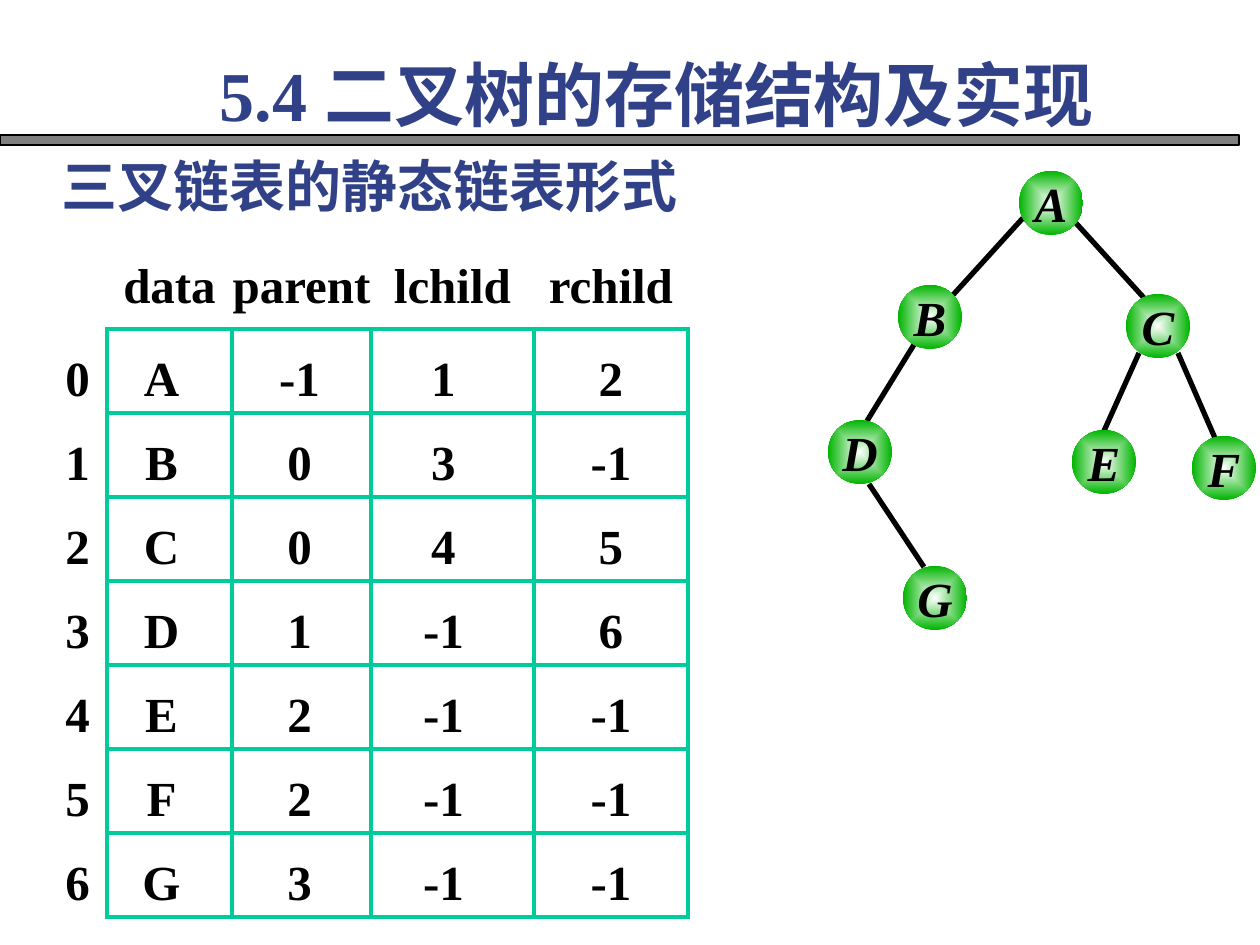
"""Build a slide on storing a binary tree as a static three-way linked list."""
from lxml import etree
from pptx import Presentation
from pptx import util as u
from pptx.dml.color import RGBColor
from pptx.enum import shapes, text
from pptx.oxml.ns import qn

TITLE = "5.4 二叉树的存储结构及实现"
SUBTITLE = "三叉链表的静态链表形式"
ROWS = [
    ("", "data", "parent", "lchild", "rchild"),
    ("0", "A", "-1", "1", "2"),
    ("1", "B", "0", "3", "-1"),
    ("2", "C", "0", "4", "5"),
    ("3", "D", "1", "-1", "6"),
    ("4", "E", "2", "-1", "-1"),
    ("5", "F", "2", "-1", "-1"),
    ("6", "G", "3", "-1", "-1"),
]
COLUMN_WIDTHS = (59, 125, 139, 163, 154)
VALUE_RIGHT_MARGINS = (0, 16, 4, 18, 0)
HEADER_HEIGHT, ROW_HEIGHT = 84, 84
TABLE_LEFT, TABLE_TOP = 48, 245
NODES = {
    "A": (1019, 171), "B": (898, 285), "C": (1126, 294), "D": (828, 420),
    "E": (1072, 430), "F": (1192, 436), "G": (903, 566),
}
NODE_SIZE = 64
EDGES = [
    (1023, 218, 953, 295), (1075, 222, 1145, 299), (915, 343, 867, 421),
    (869, 484, 924, 567), (1139, 353, 1104, 431), (1178, 353, 1215, 438),
]

FONT = "Times New Roman"
BLACK = RGBColor(0, 0, 0)
WHITE = RGBColor(255, 255, 255)
GREY = RGBColor(128, 128, 128)
NAVY = RGBColor(0x31, 0x41, 0x87)
GREEN = RGBColor(0, 0xB4, 0)
TEAL = RGBColor(0, 0xCC, 0x99)


def px(*values):
    lengths = [round(value * 914400 / 126) for value in values]
    return lengths[0] if len(lengths) == 1 else lengths


def write(frame, content, size=28, color=BLACK, italic=False,
          align=text.PP_ALIGN.CENTER):
    para = frame.paragraphs[0]
    para.alignment = align
    span = para.add_run()
    span.text = content
    font = span.font
    font.name, font.size, font.bold, font.italic = FONT, u.Pt(size), True, italic
    font.color.rgb = color


def set_borders(cell, row, column):
    inside = row > 0 and column > 0
    shown = {"lnL": inside, "lnR": row > 0, "lnT": inside, "lnB": column > 0}
    properties = cell._tc.get_or_add_tcPr()
    for position, (side, visible) in enumerate(shown.items()):
        line = etree.Element(qn(f"a:{side}"), w=str(u.Pt(2.25)))
        if visible:
            fill = etree.SubElement(line, qn("a:solidFill"))
            etree.SubElement(fill, qn("a:srgbClr"), val=str(TEAL))
        else:
            etree.SubElement(line, qn("a:noFill"))
        properties.insert(position, line)


def add_headings(page):
    subtitle = page.shapes.add_textbox(*px(49, 145, 694, 81))
    for box, content, size in ((page.shapes.title, TITLE, 40),
                               (subtitle, SUBTITLE, 32)):
        frame = box.text_frame
        frame.word_wrap = True
        frame.auto_size = text.MSO_AUTO_SIZE.NONE
        frame.vertical_anchor = text.MSO_ANCHOR.TOP
        write(frame, content, size=size, color=NAVY, align=text.PP_ALIGN.LEFT)
    title = page.shapes.title
    title.left, title.top, title.width, title.height = px(207, 45, 971, 97)

    bar = page.shapes.add_shape(shapes.MSO_SHAPE.RECTANGLE, *px(0, 135, 1239, 10))
    bar.shadow.inherit = False
    bar.fill.solid()
    bar.fill.fore_color.rgb = GREY
    bar.line.color.rgb = BLACK
    bar.line.width = u.Pt(0.75)


def add_list_table(page):
    height = HEADER_HEIGHT + ROW_HEIGHT * (len(ROWS) - 1)
    table = page.shapes.add_table(
        len(ROWS), len(COLUMN_WIDTHS),
        *px(TABLE_LEFT, TABLE_TOP, sum(COLUMN_WIDTHS), height)).table
    table.first_row = table.horz_banding = False
    for column, width in zip(table.columns, COLUMN_WIDTHS):
        column.width = px(width)
    for row, values in enumerate(ROWS):
        table.rows[row].height = px(ROW_HEIGHT if row else HEADER_HEIGHT)
        for column, value in enumerate(values):
            cell = table.cell(row, column)
            cell.margin_left = cell.margin_bottom = 0
            cell.margin_right = px(VALUE_RIGHT_MARGINS[column] if row else 0)
            cell.margin_top = px(18 if row else 0)
            cell.vertical_anchor = text.MSO_ANCHOR.MIDDLE
            cell.fill.background()
            set_borders(cell, row, column)
            write(cell.text_frame, value)


def add_tree(page):
    for edge in EDGES:
        line = page.shapes.add_connector(shapes.MSO_CONNECTOR.STRAIGHT, *px(*edge))
        line.line.color.rgb = BLACK
        line.line.width = u.Pt(3)
        etree.SubElement(line._element.spPr, qn("a:effectLst"))
    for name, corner in NODES.items():
        node = page.shapes.add_shape(
            shapes.MSO_SHAPE.OVAL, *px(*corner, NODE_SIZE, NODE_SIZE))
        node.shadow.inherit = False
        node.line.fill.background()
        node.fill.gradient()
        for stop, color, position in zip(node.fill.gradient_stops,
                                         (WHITE, GREEN), (0, 1)):
            stop.color.rgb = color
            stop.position = position
        gradient = node._element.spPr.find(qn("a:gradFill"))
        linear = gradient.find(qn("a:lin"))
        focus = etree.Element(qn("a:path"), {"path": "rect"})
        etree.SubElement(focus, qn("a:fillToRect"),
                         {side: "50000" for side in "ltrb"})
        gradient.replace(linear, focus)
        frame = node.text_frame
        frame.margin_left = frame.margin_right = 0
        frame.margin_top = frame.margin_bottom = 0
        frame.word_wrap = False
        frame.vertical_anchor = text.MSO_ANCHOR.MIDDLE
        write(frame, name, italic=True)


def main():
    deck = Presentation()
    deck.slide_width, deck.slide_height = px(1260, 945)
    page = deck.slides.add_slide(deck.slide_layouts[5])
    add_headings(page)
    add_tree(page)
    add_list_table(page)
    deck.save("out.pptx")


if __name__ == "__main__":
    main()
